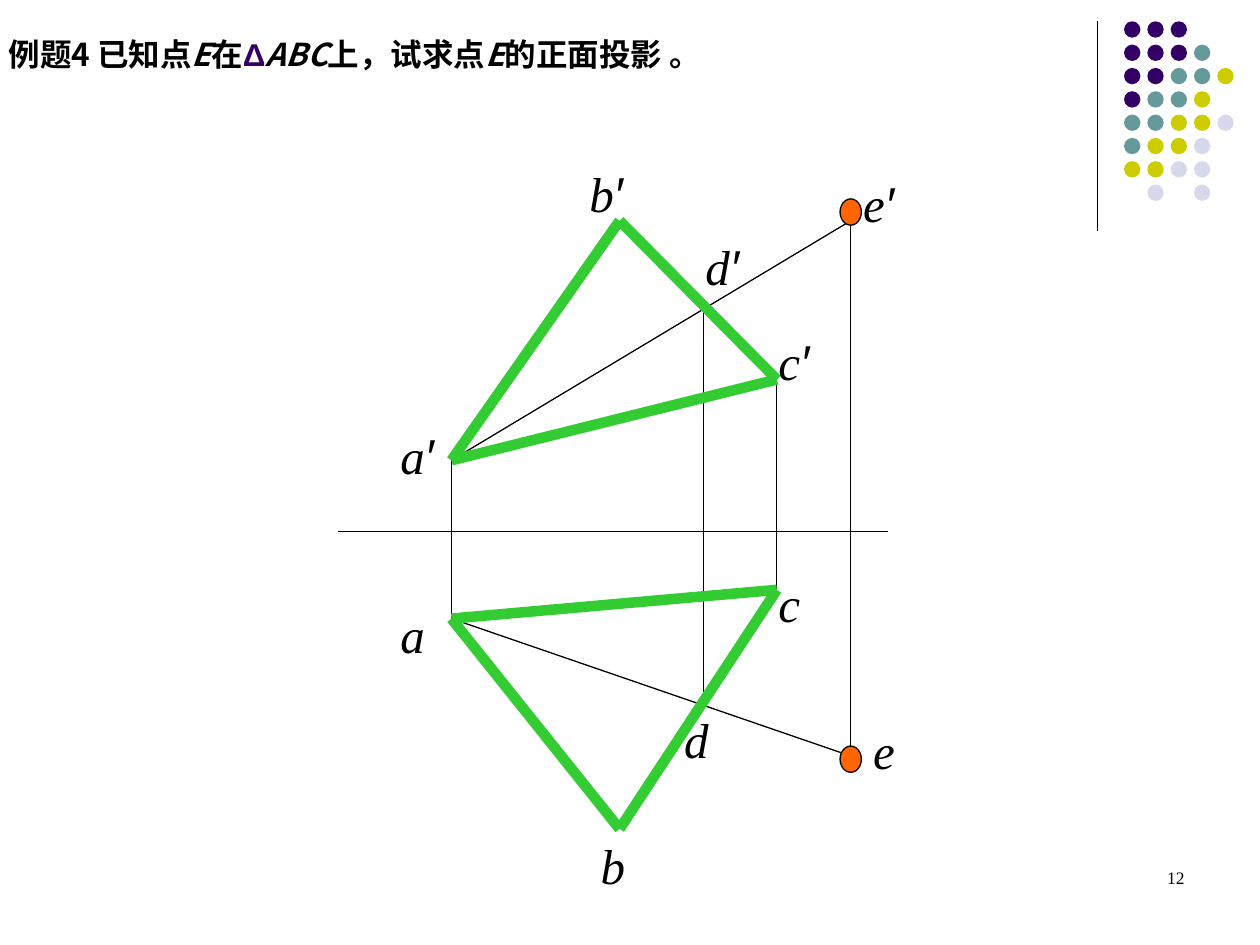
from dataclasses import dataclass

from lxml.etree import SubElement
from pptx import Presentation
from pptx.dml.color import RGBColor
from pptx.enum.shapes import MSO_CONNECTOR, MSO_SHAPE
from pptx.enum.text import MSO_ANCHOR, MSO_AUTO_SIZE, PP_ALIGN
from pptx.oxml.ns import qn
from pptx.util import Cm, Pt


@dataclass(frozen=True)
class Theme:
    ink: str = "000000"
    purple: str = "330066"
    teal: str = "669999"
    olive: str = "CCCC00"
    lavender: str = "D8D8EC"
    triangle: str = "33CC33"
    point: str = "FF6600"
    heading_font: str = "Noto Sans CJK SC"
    label_font: str = "Times New Roman"
    symbol_font: str = "Arial"
    heading_size: int = 18
    label_size: int = 28
    number_size: int = 10
    thin: float = 0.75
    thick: float = 6


theme = Theme()
prs = Presentation()
prs.slide_width, prs.slide_height = Cm(25.4), Cm(19.05)
slide = prs.slides.add_slide(prs.slide_layouts[5])
shapes = slide.shapes


def write(frame, text, font=theme.label_font, size=theme.label_size,
          color=theme.ink, bold=False, italic=False, align=PP_ALIGN.LEFT):
    """Append a formatted run to the first paragraph of a text frame."""
    paragraph = frame.paragraphs[0]
    paragraph.alignment = align
    run = paragraph.add_run()
    run.text = text
    run.font.name = font
    run.font.size = Pt(size)
    run.font.bold = bold
    run.font.italic = italic
    run.font.color.rgb = RGBColor.from_string(color)
    SubElement(run.font._element, qn("a:ea"), typeface=font)


def draw_line(start, end, color=theme.ink, width=theme.thin):
    line = shapes.add_connector(MSO_CONNECTOR.STRAIGHT, *map(Cm, start + end))
    line.line.color.rgb = RGBColor.from_string(color)
    line.line.width = Pt(width)
    SubElement(line._element.spPr, qn("a:effectLst"))


# Corner ornament: one letter per dot, a space for a gap
draw_line((22.12, 0.43), (22.12, 4.65))
dot_colors = {"P": theme.purple, "T": theme.teal,
              "O": theme.olive, "L": theme.lavender}
dot_rows = ["PPP", "PPPT", "PPTTO", "PTTO", "TTOOL", "TOOL", "OOLL", " L L"]
dot_pitch, dot_size = 0.47, 0.33
for row, letters in enumerate(dot_rows):
    for column, letter in enumerate(letters):
        if letter == " ":
            continue
        dot = shapes.add_shape(
            MSO_SHAPE.OVAL, Cm(22.66 + column * dot_pitch),
            Cm(0.43 + row * dot_pitch), Cm(dot_size), Cm(dot_size))
        dot.shadow.inherit = False
        dot.fill.solid()
        dot.fill.fore_color.rgb = RGBColor.from_string(dot_colors[letter])
        dot.line.fill.background()

# Title
title = shapes.title
title.left, title.top, title.width, title.height = (
    Cm(-0.08), Cm(0.58), Cm(15.77), Cm(1.02))
heading = title.text_frame
heading.word_wrap = False
heading.auto_size = MSO_AUTO_SIZE.NONE
heading.vertical_anchor = MSO_ANCHOR.TOP
heading_style = dict(font=theme.heading_font, size=theme.heading_size, bold=True)
for text, changes in [
    ("例题4 已知点", {}),
    ("E", {"italic": True}),
    ("在", {}),
    ("Δ", {"font": theme.symbol_font, "color": theme.purple}),
    ("ABC", {"italic": True}),
    ("上，试求点", {}),
    ("E", {"italic": True}),
    ("的正面投影 。", {}),
]:
    write(heading, text, **{**heading_style, **changes})

# Each point has one x and two heights: front (primed) and top view
x = {"a": 9.1, "b": 12.49, "c": 15.66, "d": 14.18, "e": 17.15}
front_y = {"a": 9.28, "b": 4.45, "c": 7.65, "d": 6.22, "e": 4.45}
top_y = {"a": 12.47, "b": 16.71, "c": 11.89, "d": 14.18, "e": 15.24}

draw_line((6.81, 10.72), (17.91, 10.72))
for name in "acde":
    draw_line((x[name], front_y[name]), (x[name], top_y[name]))
for y in (front_y, top_y):
    draw_line((x["a"], y["a"]), (x["e"], y["e"]))
    for start, end in ("ab", "bc", "ca"):
        draw_line((x[start], y[start]), (x[end], y[end]),
                  theme.triangle, theme.thick)

# Markers of point E
marker_width, marker_height = 0.43, 0.53
for marker_top in (4.01, 15.04):
    marker = shapes.add_shape(
        MSO_SHAPE.OVAL, Cm(x["e"] - marker_width / 2), Cm(marker_top),
        Cm(marker_width), Cm(marker_height))
    marker.shadow.inherit = False
    marker.fill.solid()
    marker.fill.fore_color.rgb = RGBColor.from_string(theme.point)
    marker.line.color.rgb = RGBColor.from_string(theme.ink)
    marker.line.width = Pt(theme.thin)

# Point labels
for letters, left, top in [
    ("a′", 7.82, 8.46), ("b′", 11.63, 3.18), ("c′", 15.44, 6.55),
    ("d′", 13.97, 4.65), ("e′", 17.15, 3.38),
    ("a", 7.82, 12.07), ("b", 11.86, 16.71), ("c", 15.44, 11.43),
    ("d", 13.54, 14.17), ("e", 17.35, 14.4),
]:
    label = shapes.add_textbox(Cm(left), Cm(top), Cm(1.47), Cm(1.45)).text_frame
    label.word_wrap = True
    write(label, letters[0], italic=True)
    if letters.endswith("′"):
        write(label, "′", font=theme.symbol_font, italic=True)

# Page number
page_number = shapes.add_textbox(Cm(18.2), Cm(17.36), Cm(5.93), Cm(1.27)).text_frame
page_number.word_wrap = True
write(page_number, "12", size=theme.number_size, align=PP_ALIGN.RIGHT)

prs.save("out.pptx")
